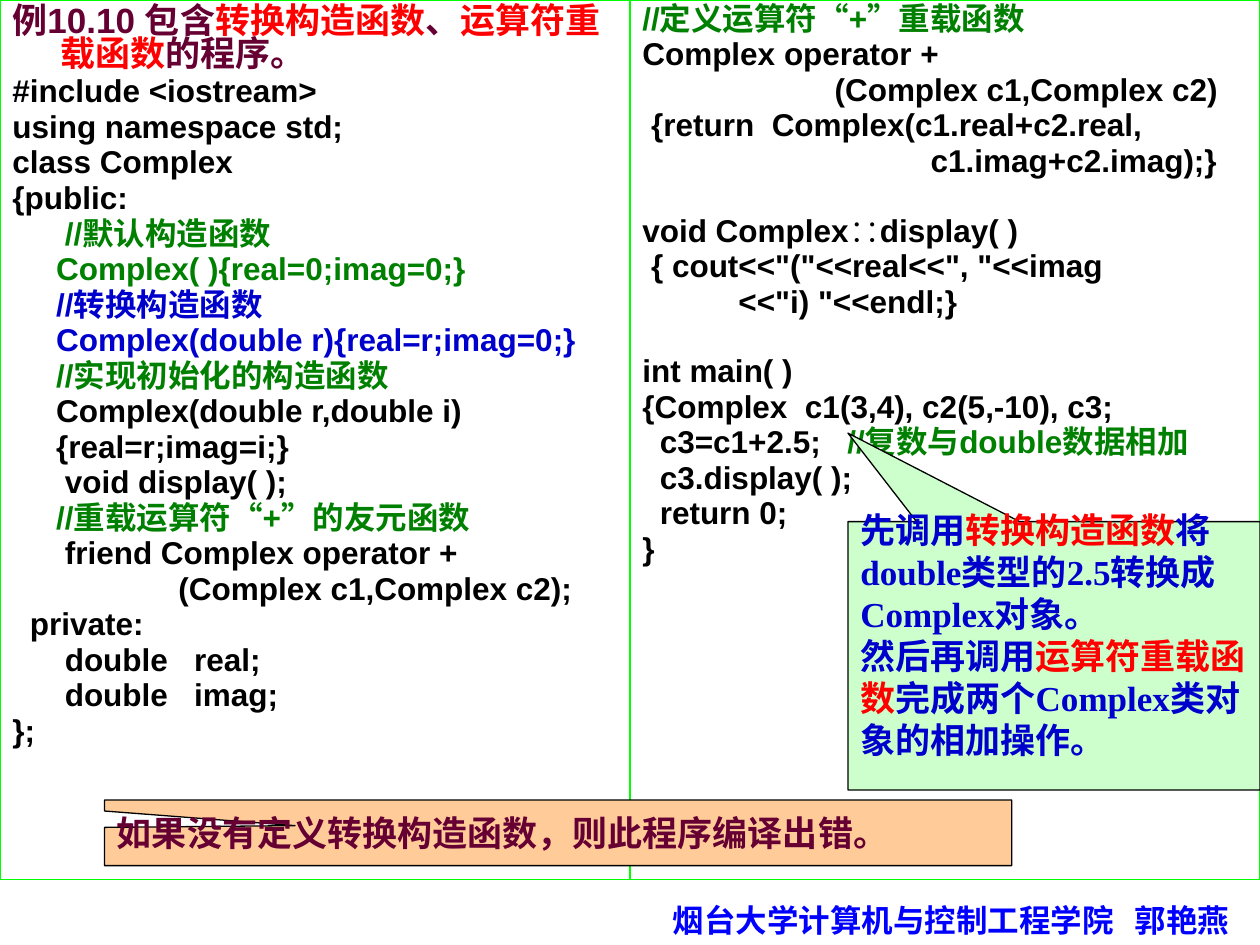
"""Builds the slide on conversion constructors and operator overloading."""
import dataclasses

import pptx
import pptx.dml.color
import pptx.enum.shapes
import pptx.enum.text
import pptx.util
import lxml.etree
from pptx.oxml import ns

Pt = pptx.util.Pt
SHAPE = pptx.enum.shapes.MSO_SHAPE
ANCHOR = pptx.enum.text.MSO_ANCHOR


@dataclasses.dataclass(frozen=True)
class Theme:
    ink: str = "000000"
    plum: str = "660033"
    red: str = "FF0000"
    green: str = "008000"
    blue: str = "0000CC"
    footer: str = "0000FF"
    frame: str = "00FF00"
    paper: str = "FFFFFF"
    mint: str = "CCFFCC"
    peach: str = "FFCC99"
    sans: str = "Arial"
    serif: str = "Times New Roman"
    code_size: float = 18
    large_size: float = 20
    line_spacing: float = 0.8
    code_gap: float = 3
    section_gap: float = 22.5
    hang: float = 27.36


T = Theme()


class Deck:
    def __init__(self, theme, width, height):
        self.theme = theme
        self.prs = pptx.Presentation()
        self.prs.slide_width, self.prs.slide_height = Pt(width), Pt(height)
        self.s = self.prs.slides.add_slide(self.prs.slide_layouts[6])

    def color(self, value):
        return pptx.dml.color.RGBColor.from_string(value)

    def runs(self, p, parts, size, font):
        for text, color in parts:
            r = p.add_run()
            r.text = text
            r.font.size, r.font.name, r.font.bold = Pt(size), font, True
            r.font.color.rgb = self.color(color)

    def paragraph(self, tf, first):
        p = tf.paragraphs[0] if first else tf.add_paragraph()
        p.alignment = pptx.enum.text.PP_ALIGN.LEFT
        return p

    def box(self, kind, place, fill, line, anchor):
        sp = self.s.shapes.add_shape(kind, *map(Pt, place))
        sp.shadow.inherit = False
        sp.fill.solid()
        sp.fill.fore_color.rgb = self.color(fill)
        sp.line.color.rgb = self.color(line)
        sp.line.width = Pt(0.75)
        tf = sp.text_frame
        tf.word_wrap = True
        tf.vertical_anchor = anchor
        return sp

    def code_panel(self, place, sections, title=None):
        t = self.theme
        tf = self.box(SHAPE.RECTANGLE, place, t.paper, t.frame, ANCHOR.TOP).text_frame
        rows = [(title, t.large_size, 0)] if title else []
        for i, section in enumerate(sections):
            for j, row in enumerate(section):
                gap = t.section_gap if i and not j else t.code_gap
                rows.append((row, t.code_size, gap if rows else 0))
        for i, (row, size, gap) in enumerate(rows):
            p = self.paragraph(tf, i == 0)
            pPr = p._p.get_or_add_pPr()
            pPr.set("marL", str(Pt(t.hang)))
            pPr.set("indent", str(-Pt(t.hang)))
            p.line_spacing = t.line_spacing
            p.space_before = Pt(gap)
            self.runs(p, row, size, t.sans)

    def callout(self, place, tip, fill, rows, bottom=3.6):
        t = self.theme
        sp = self.box(SHAPE.RECTANGULAR_CALLOUT, place, fill, t.ink, ANCHOR.MIDDLE)
        sp.adjustments[0], sp.adjustments[1] = tip
        sp.text_frame.margin_bottom = Pt(bottom)
        for i, row in enumerate(rows):
            p = self.paragraph(sp.text_frame, i == 0)
            self.runs(p, row, t.large_size, t.serif)

    def footer(self, place, text, tab):
        t = self.theme
        tf = self.s.shapes.add_textbox(*map(Pt, place)).text_frame
        tf.word_wrap = True
        p = self.paragraph(tf, True)
        tabs = lxml.etree.SubElement(p._p.get_or_add_pPr(), ns.qn("a:tabLst"))
        lxml.etree.SubElement(tabs, ns.qn("a:tab"), pos=str(Pt(tab)), algn="l")
        self.runs(p, [(text, t.footer)], t.code_size, t.sans)


def lines(color, text):
    return [[(line, color)] for line in text.strip("\n").split("\n")]


TITLE = [("例10.10 包含", T.plum), ("转换构造函数", T.red), ("、", T.plum),
         ("运算符重载函数", T.red), ("的程序。", T.plum)]

CLASS_CODE = (
    lines(T.ink, """
#include <iostream>
using namespace std;
class Complex
{public:""")
    + lines(T.green, """
      //默认构造函数
     Complex( ){real=0;imag=0;}""")
    + lines(T.blue, """
     //转换构造函数
     Complex(double r){real=r;imag=0;}""")
    + lines(T.green, "     //实现初始化的构造函数")
    + lines(T.ink, """
     Complex(double r,double i)
     {real=r;imag=i;}
      void display( );""")
    + lines(T.green, "     //重载运算符“+”的友元函数")
    + lines(T.ink, """
      friend Complex operator +
                   (Complex c1,Complex c2);
  private:
      double   real;
      double   imag;
};"""))

OPERATOR_CODE = lines(T.green, "//定义运算符“+”重载函数") + lines(T.ink, """
Complex operator +
                      (Complex c1,Complex c2)
 {return  Complex(c1.real+c2.real,
                                 c1.imag+c2.imag);}""")

DISPLAY_CODE = lines(T.ink, """
void Complex∷display( )
 { cout<<"("<<real<<", "<<imag
           <<"i) "<<endl;}""")

MAIN_CODE = (
    lines(T.ink, """
int main( )
{Complex  c1(3,4), c2(5,-10), c3;""")
    + [[("  c3=c1+2.5;   ", T.ink), ("//复数与double数据相加", T.green)]]
    + lines(T.ink, """
  c3.display( );
  return 0;
}"""))

CALL_STEPS = [
    [("先调用", T.blue), ("转换构造函数", T.red),
     ("将double类型的2.5转换成Complex对象。", T.blue)],
    [("然后再调用", T.blue), ("运算符重载函数", T.red),
     ("完成两个Complex类对象的相加操作。", T.blue)],
]

WARNING = [[("如果没有定义转换构造函数，则此程序编译出错。", T.plum)]]


def main():
    deck = Deck(T, 720, 540)
    deck.footer((377.28, 511.2, 342.72, 28.8), "烟台大学计算机与控制工程学院\t郭艳燕", 264)
    deck.code_panel((0, 0, 365.76, 502.56), [CLASS_CODE], TITLE)
    deck.code_panel((360, 0, 360, 502.56), [OPERATOR_CODE, DISPLAY_CODE, MAIN_CODE])
    deck.callout((484.56, 298.08, 235.44, 153.36), (-0.5, -0.83), T.mint, CALL_STEPS, 27.6)
    deck.callout((59.76, 457.2, 518.4, 37.44), (-0.29, -0.11), T.peach, WARNING)
    deck.prs.save("out.pptx")


if __name__ == "__main__":
    main()
